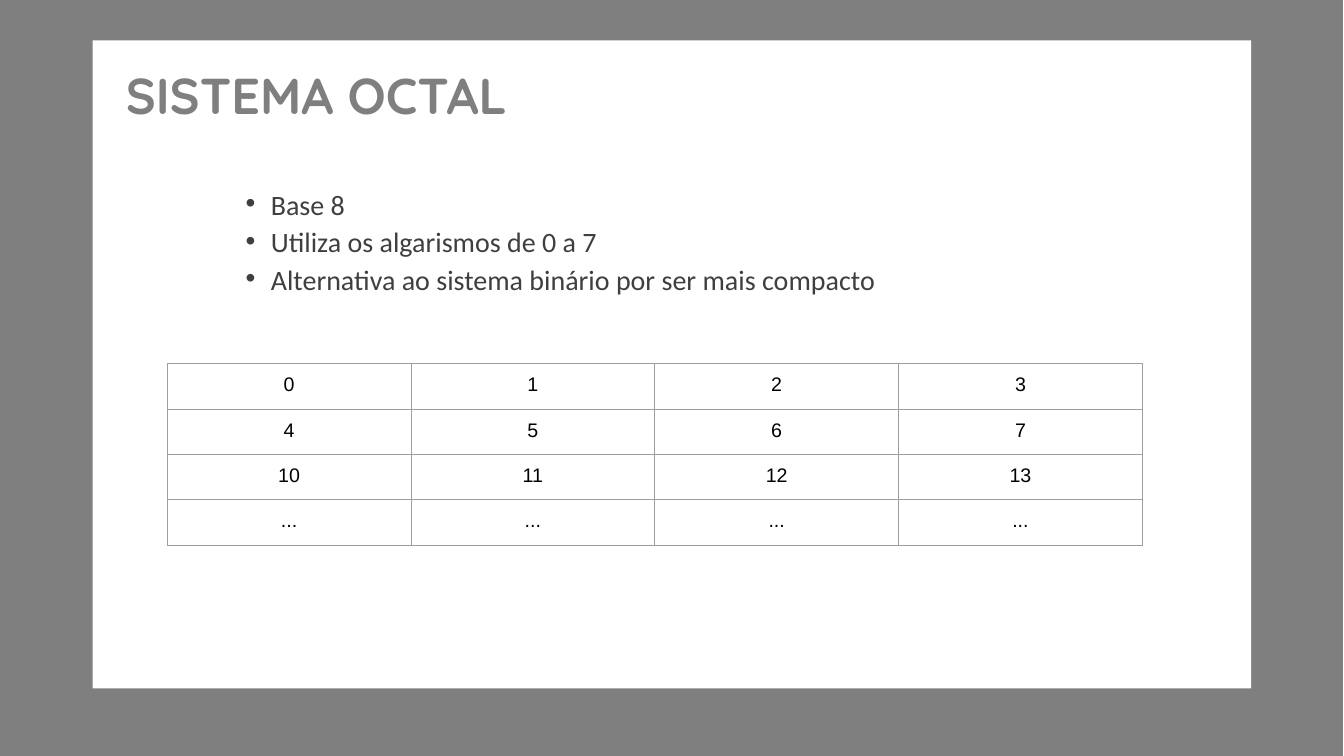
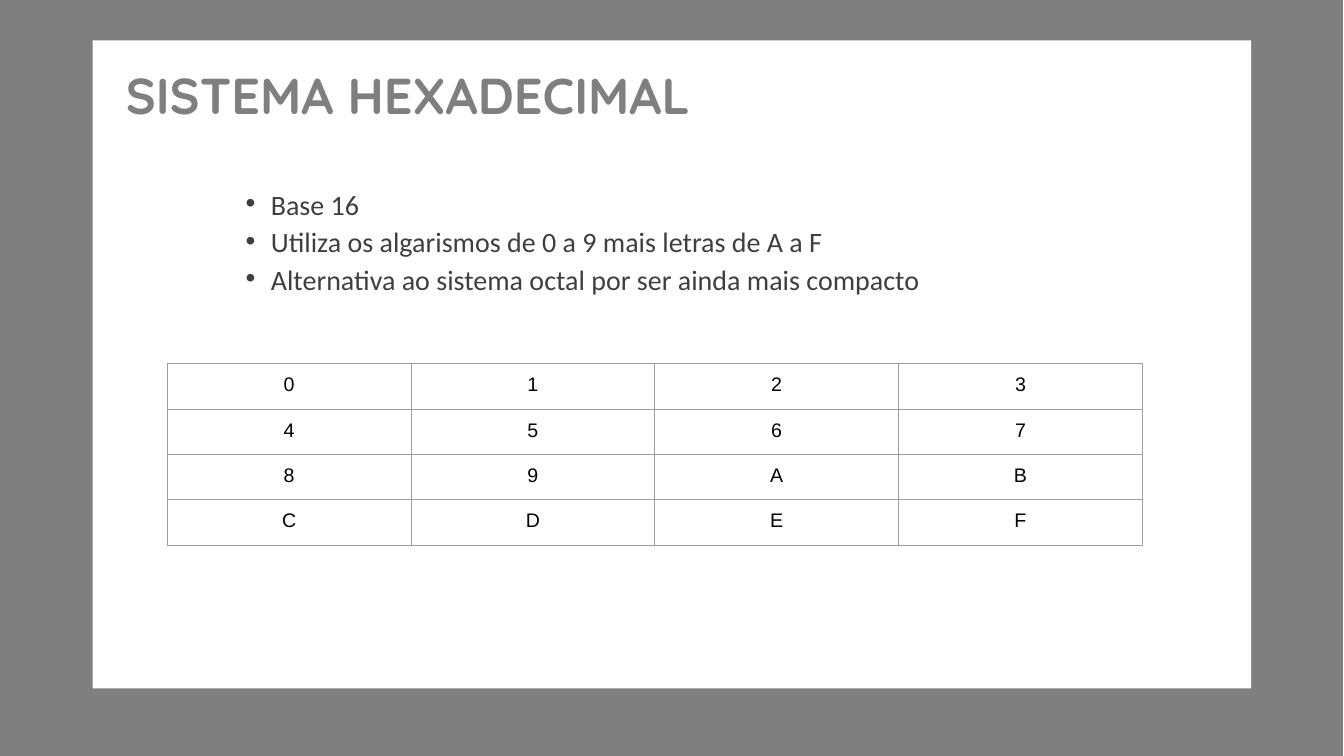
"""Build two slides on the octal and hexadecimal number systems."""

from dataclasses import dataclass

from lxml import etree
from pptx import Presentation
from pptx.dml.color import RGBColor
from pptx.enum.shapes import MSO_SHAPE
from pptx.enum.text import MSO_ANCHOR, PP_ALIGN
from pptx.oxml.ns import qn
from pptx.shapes.autoshape import Shape
from pptx.slide import Slide
from pptx.table import _Cell
from pptx.text.text import _Paragraph
from pptx.util import Inches, Pt

RECTANGLE = MSO_SHAPE.RECTANGLE
MIDDLE = MSO_ANCHOR.MIDDLE
CENTER = PP_ALIGN.CENTER

BLACK = RGBColor(0x00, 0x00, 0x00)
WHITE = RGBColor(0xFF, 0xFF, 0xFF)
TITLE_GRAY = RGBColor(0x7F, 0x7F, 0x7F)
BODY_GRAY = RGBColor(0x3F, 0x3F, 0x3F)
BORDER_GRAY = RGBColor(0x9E, 0x9E, 0x9E)

BLANK_LAYOUT = 6
COLUMN_WIDTH = Inches(2.42)
ROW_HEIGHT = Inches(0.45)
CELL_MARGIN = Inches(0.1)
BULLET_INDENT = Inches(0.25)
BORDER_WIDTH = Pt(0.75)


@dataclass(frozen=True)
class Box:
    left: float
    top: float
    width: float
    height: float

    def lengths(self) -> tuple[Inches, Inches, Inches, Inches]:
        return Inches(self.left), Inches(self.top), Inches(self.width), Inches(self.height)


@dataclass(frozen=True)
class TextStyle:
    font: str
    size: int
    color: RGBColor
    bold: bool = False


@dataclass(frozen=True)
class NumberSystem:
    title: str
    bullets: list[str]
    digits: list[list[str]]


BACKDROP_BOX = Box(0, 0, 13.33, 7.5)
PANEL_BOX = Box(0.92, 0.4, 11.5, 6.43)
TITLE_BOX = Box(1.15, 0.25, 9.41, 1.45)
BULLETS_BOX = Box(2.34, 1.9, 8.33, 1.1)
TABLE_LEFT, TABLE_TOP = Inches(1.66), Inches(3.61)

TITLE_STYLE = TextStyle("Quicksand", 36, TITLE_GRAY, True)
BULLET_STYLE = TextStyle("Calibri", 20, BODY_GRAY)
CELL_STYLE = TextStyle("Arial", 14, BLACK)

NUMBER_SYSTEMS = [
    NumberSystem(
        "SISTEMA OCTAL",
        [
            "Base 8",
            "Utiliza os algarismos de 0 a 7",
            "Alternativa ao sistema binário por ser mais compacto",
        ],
        [
            ["0", "1", "2", "3"],
            ["4", "5", "6", "7"],
            ["10", "11", "12", "13"],
            ["..."] * 4,
        ],
    ),
    NumberSystem(
        "SISTEMA HEXADECIMAL",
        [
            "Base 16",
            "Utiliza os algarismos de 0 a 9 mais letras de A a F",
            "Alternativa ao sistema octal por ser ainda mais compacto",
        ],
        [
            ["0", "1", "2", "3"],
            ["4", "5", "6", "7"],
            ["8", "9", "A", "B"],
            ["C", "D", "E", "F"],
        ],
    ),
]


def style_runs(paragraph: _Paragraph, style: TextStyle) -> None:
    for run in paragraph.runs:
        run.font.name = style.font
        run.font.size = Pt(style.size)
        run.font.bold = style.bold
        run.font.color.rgb = style.color


def add_rectangle(slide: Slide, box: Box, color: RGBColor) -> Shape:
    shape = slide.shapes.add_shape(RECTANGLE, *box.lengths())
    shape.shadow.inherit = False
    shape.fill.solid()
    shape.fill.fore_color.rgb = color
    shape.line.fill.background()
    return shape


def add_frame(slide: Slide) -> None:
    backdrop = add_rectangle(slide, BACKDROP_BOX, BLACK)
    color = backdrop.fill._xPr.find(qn("a:solidFill"))[0]
    etree.SubElement(color, qn("a:alpha"), val="50000")
    add_rectangle(slide, PANEL_BOX, WHITE)


def add_title(slide: Slide, title: str) -> None:
    text_frame = slide.shapes.add_textbox(*TITLE_BOX.lengths()).text_frame
    text_frame.word_wrap = True
    text_frame.vertical_anchor = MIDDLE
    text_frame.text = title
    paragraph = text_frame.paragraphs[0]
    paragraph.line_spacing = 0.9
    style_runs(paragraph, TITLE_STYLE)


def add_bullet(paragraph: _Paragraph) -> None:
    properties = paragraph._p.get_or_add_pPr()
    properties.set("marL", str(BULLET_INDENT))
    properties.set("indent", str(-BULLET_INDENT))
    bullet_color = etree.SubElement(properties, qn("a:buClr"))
    etree.SubElement(bullet_color, qn("a:srgbClr"), val=str(BODY_GRAY))
    etree.SubElement(properties, qn("a:buFont"), typeface="Arial")
    etree.SubElement(properties, qn("a:buChar"), char="•")


def add_bullets(slide: Slide, bullets: list[str]) -> None:
    text_frame = slide.shapes.add_textbox(*BULLETS_BOX.lengths()).text_frame
    text_frame.word_wrap = True
    text_frame.text = "\n".join(bullets)
    for index, paragraph in enumerate(text_frame.paragraphs):
        add_bullet(paragraph)
        paragraph.line_spacing = 0.7
        paragraph.space_before = Pt(10 if index else 0)
        style_runs(paragraph, BULLET_STYLE)


def add_borders(cell: _Cell) -> None:
    properties = cell._tc.get_or_add_tcPr()
    for side in ("a:lnL", "a:lnR", "a:lnT", "a:lnB"):
        line = etree.SubElement(properties, qn(side), w=str(BORDER_WIDTH))
        fill = etree.SubElement(line, qn("a:solidFill"))
        etree.SubElement(fill, qn("a:srgbClr"), val=str(BORDER_GRAY))


def fill_cell(cell: _Cell, text: str) -> None:
    add_borders(cell)
    cell.fill.background()
    cell.margin_left = cell.margin_right = CELL_MARGIN
    cell.margin_top = cell.margin_bottom = CELL_MARGIN
    cell.text_frame.text = text
    paragraph = cell.text_frame.paragraphs[0]
    paragraph.alignment = CENTER
    style_runs(paragraph, CELL_STYLE)


def add_digit_table(slide: Slide, digits: list[list[str]]) -> None:
    row_count, column_count = len(digits), len(digits[0])
    table = slide.shapes.add_table(
        row_count,
        column_count,
        TABLE_LEFT,
        TABLE_TOP,
        COLUMN_WIDTH * column_count,
        ROW_HEIGHT * row_count,
    ).table
    table.first_row = False
    table.horz_banding = False
    for row_index, row in enumerate(digits):
        for column_index, digit in enumerate(row):
            fill_cell(table.cell(row_index, column_index), digit)


def main() -> None:
    presentation = Presentation()
    presentation.slide_width = Inches(13.34)
    presentation.slide_height = Inches(7.5)
    for system in NUMBER_SYSTEMS:
        slide = presentation.slides.add_slide(presentation.slide_layouts[BLANK_LAYOUT])
        add_frame(slide)
        add_title(slide, system.title)
        add_bullets(slide, system.bullets)
        add_digit_table(slide, system.digits)
    presentation.save("out.pptx")


if __name__ == "__main__":
    main()
